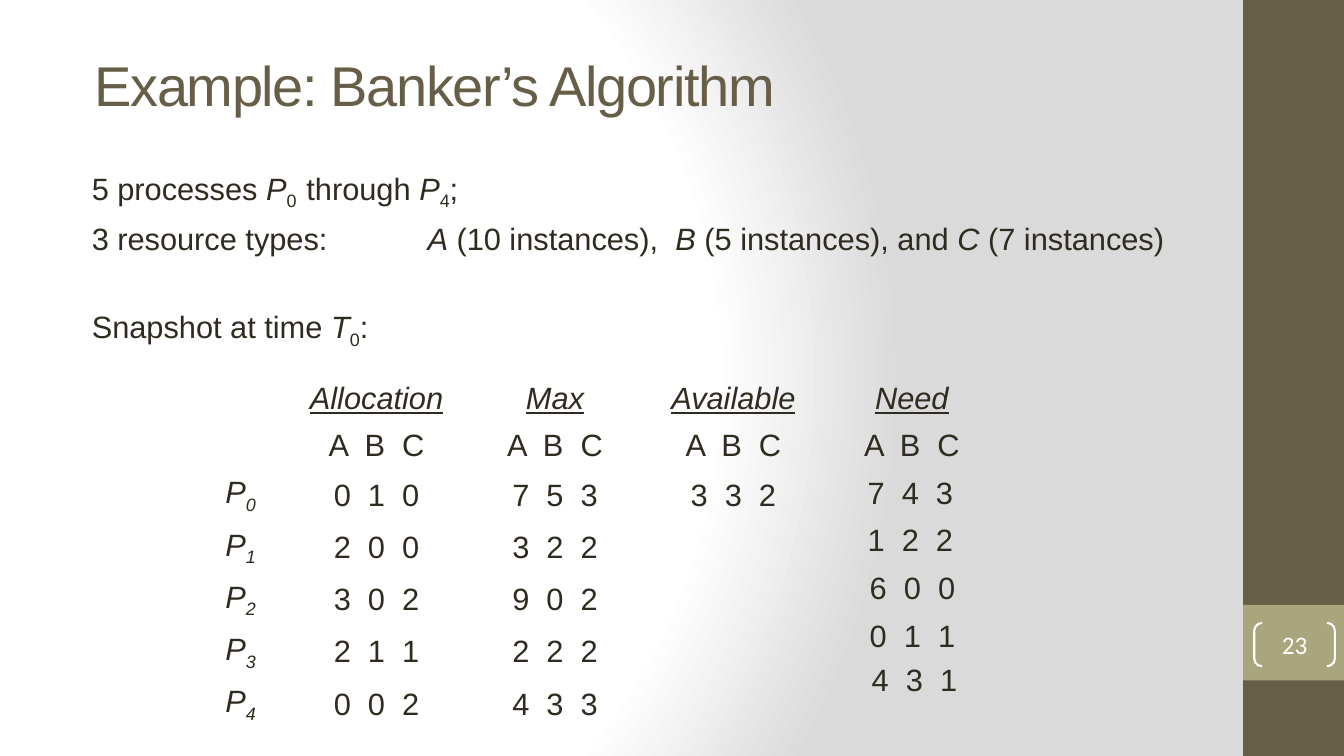
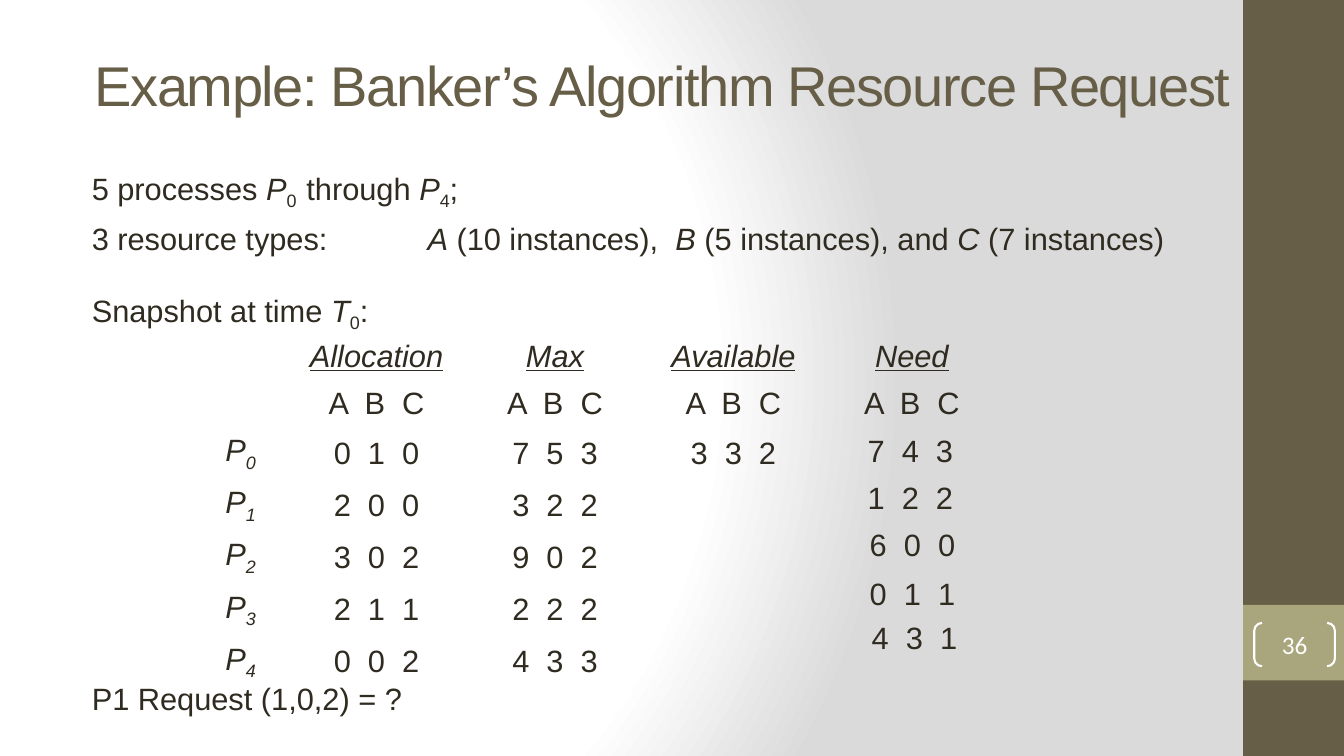
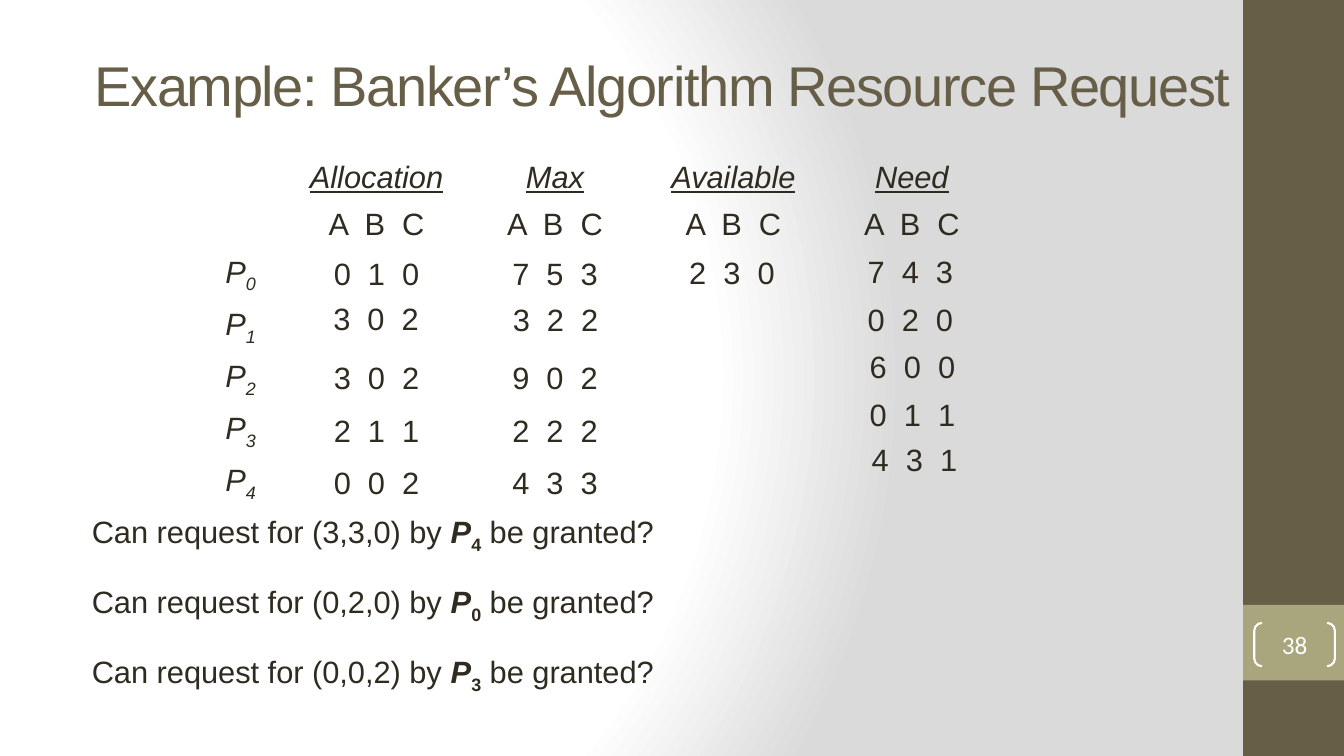
"""Build three slides on the Banker's Algorithm."""
from lxml import etree
from pptx import Presentation
from pptx.dml.color import RGBColor
from pptx.enum.shapes import MSO_SHAPE as Preset
from pptx.enum.text import MSO_ANCHOR as Anchor, PP_ALIGN as Align
from pptx.oxml import parse_xml
from pptx.oxml.ns import nsdecls, qn
from pptx.util import Inches, Pt

COLORS = {
    "paper": "FFFFFF",
    "shade": "DADADA",
    "band": "675E47",
    "badge": "A9A57C",
    "text": "2F2B20",
}
NO_GRID_STYLE = "{2D5ABB26-0587-4C30-8999-92F81FD0307C}"
ITALIC = {"italic": True}
SUB = {"sub": True}


def color(name):
    return RGBColor.from_string(COLORS[name])


def write(paragraph, text, size=22, font="Arial", ink="text", italic=None,
          bold=None, underline=None, sub=False, tracking=None):
    run = paragraph.add_run()
    run.text = text
    run.font.size = Pt(size)
    run.font.name = font
    run.font.color.rgb = color(ink)
    run.font.italic = italic
    run.font.bold = bold
    run.font.underline = underline
    properties = run.font._element
    if sub:
        properties.set("baseline", "-25000")
    if tracking is not None:
        properties.set("spc", str(tracking * 100))


class Deck:
    BAND_LEFT = 12.33
    TABLE_LEFT = 1.92
    COLUMNS = (0.93, 1.77, 1.77, 1.77, 1.77)
    HEADER_HEIGHT, ROW_HEIGHT = 0.47, 0.49

    def __init__(self):
        self.presentation = Presentation()
        self.presentation.slide_width = Inches(13.33)
        self.presentation.slide_height = Inches(7.5)
        self.slide = None
        self.set_background()

    def set_background(self):
        master = self.presentation.slide_master
        master.background.fill.solid()
        solid = master.element.find(".//" + qn("p:bgPr")).find(qn("a:solidFill"))
        stops = ((0, "paper"), (75, "paper"), (100, "shade"))
        stop_xml = "".join(
            f'<a:gs pos="{position * 1000}"><a:srgbClr val="{COLORS[name]}"/></a:gs>'
            for position, name in stops)
        gradient = parse_xml(
            f'<a:gradFill {nsdecls("a")} rotWithShape="1"><a:gsLst>{stop_xml}</a:gsLst>'
            '<a:path path="circle"><a:fillToRect l="20000" t="50000" r="100000" b="50000"/>'
            '</a:path></a:gradFill>')
        solid.getparent().replace(solid, gradient)

    def start(self, title, number):
        self.slide = self.presentation.slides.add_slide(
            self.presentation.slide_layouts[6])
        self.band(0, 7.5, "band")
        self.band(6, 0.75, "badge")
        frame = self.box(0.84, 0.61, 11.5, 0.45)
        frame.vertical_anchor = Anchor.MIDDLE
        write(frame.paragraphs[0], title, size=40, ink="band", tracking=-1)
        self.page_number(number)

    def band(self, top, height, fill):
        shape = self.slide.shapes.add_shape(
            Preset.RECTANGLE, Inches(self.BAND_LEFT), Inches(top),
            Inches(1), Inches(height))
        shape.shadow.inherit = False
        shape.fill.solid()
        shape.fill.fore_color.rgb = color(fill)
        shape.line.fill.background()

    def page_number(self, number):
        shape = self.slide.shapes.add_shape(
            Preset.DOUBLE_BRACKET, Inches(12.44), Inches(6.18),
            Inches(0.8), Inches(0.43))
        shape.shadow.inherit = False
        shape.adjustments[0] = 0.18
        shape.fill.background()
        shape.line.color.rgb = color("paper")
        shape.line.width = Pt(1.5)
        frame = shape.text_frame
        frame.margin_left = frame.margin_right = 0
        frame.margin_top = frame.margin_bottom = 0
        frame.vertical_anchor = Anchor.MIDDLE
        paragraph = frame.paragraphs[0]
        paragraph.alignment = Align.CENTER
        write(paragraph, str(number), size=18, font="Calibri", ink="paper")

    def box(self, left, top, width, height):
        shape = self.slide.shapes.add_textbox(
            Inches(left), Inches(top), Inches(width), Inches(height))
        shape.text_frame.word_wrap = True
        return shape.text_frame

    def body(self, top, height, lines, gaps):
        frame = self.box(0.69, top, 11.41, height)
        frame.margin_left = Inches(0.22)
        for index, (runs, gap) in enumerate(zip(lines, gaps)):
            paragraph = frame.add_paragraph() if index else frame.paragraphs[0]
            paragraph.line_spacing = 1.1
            paragraph.space_before = Pt(gap)
            properties = paragraph._p.get_or_add_pPr()
            if any("\t" in text for text, _ in runs):
                tabs = etree.SubElement(properties, qn("a:tabLst"))
                etree.SubElement(tabs, qn("a:tab"), pos=str(Inches(3.33)), algn="l")
            for text, style in runs:
                write(paragraph, text, **style)

    def cell(self, cell, runs):
        cell.fill.background()
        cell.vertical_anchor = Anchor.MIDDLE
        paragraph = cell.text_frame.paragraphs[0]
        paragraph.alignment = Align.CENTER
        for text, style in runs:
            write(paragraph, text, **style)

    def table(self, top, rows):
        heading = {"italic": True, "underline": True}
        names = ("Allocation", "Max", "Available", "Need")
        grid = [[[]] + [[(name, heading)] for name in names],
                [[]] + [[("A  B  C", {})] for _ in names]]
        for process, values in enumerate(rows):
            label = [("P", ITALIC), (str(process), {"italic": True, "sub": True})]
            cells = [[(value, {})] if value else [] for value in values]
            grid.append([label] + cells + [[]] * (len(names) - len(cells)))
        heights = [self.HEADER_HEIGHT] * 2 + [self.ROW_HEIGHT] * len(rows)
        frame = self.slide.shapes.add_table(
            len(grid), len(self.COLUMNS), Inches(self.TABLE_LEFT), Inches(top),
            Inches(sum(self.COLUMNS)), Inches(sum(heights)))
        table = frame.table
        table.first_row = table.horz_banding = False
        table._tbl.tblPr.find(qn("a:tableStyleId")).text = NO_GRID_STYLE
        for column, width in zip(table.columns, self.COLUMNS):
            column.width = Inches(width)
        for row, height, contents in zip(table.rows, heights, grid):
            row.height = Inches(height)
            for cell, runs in zip(row.cells, contents):
                self.cell(cell, runs)

    def value(self, left, top, text):
        paragraph = self.box(left, top, 1.5, 0.47).paragraphs[0]
        paragraph.alignment = Align.CENTER
        write(paragraph, text)

    def need(self, table_top, values):
        lefts = (8.28, 8.28, 8.3, 8.3, 8.32)
        offsets = (0.93, 1.4, 1.87, 2.35, 2.79)
        for left, offset, text in zip(lefts, offsets, values):
            self.value(left, table_top + offset, text)


INTRO = (
    [("5 processes ", {}), ("P", ITALIC), ("0  ", SUB), ("through ", {}),
     ("P", ITALIC), ("4", SUB), (";", {})],
    [("3 resource types:\t", {}), ("A", ITALIC), (" (10 instances),  ", {}),
     ("B", ITALIC), (" (5 instances), and ", {}), ("C", ITALIC),
     (" (7 instances)", {})],
    [("Snapshot at time ", {}), ("T", ITALIC), ("0", SUB), (":", {})],
)
START_ROWS = (
    ("0  1  0", "7  5  3", "3  3  2"),
    ("2  0  0", "3  2  2"),
    ("3  0  2", "9  0  2"),
    ("2  1  1", "2  2  2"),
    ("0  0  2", "4  3  3"),
)
START_NEED = ("7  4  3", "1  2  2", "6  0  0", "0  1  1", "4  3  1")
REQUEST_TITLE = "Example: Banker’s Algorithm Resource Request"


def question(request, process):
    return [(f"Can request for {request} by ", {}),
            ("P", {"bold": True, "italic": True}),
            (process, {"bold": True, "sub": True}),
            (" be granted?", {})]


def main():
    deck = Deck()

    deck.start("Example: Banker’s Algorithm", 23)
    deck.body(1.59, 5.91, INTRO, (0, 3, 34))
    deck.table(3.72, START_ROWS)
    deck.need(3.72, START_NEED)

    deck.start(REQUEST_TITLE, 36)
    deck.body(1.59, 1.7, INTRO, (0, 3, 22))
    deck.table(3.3, START_ROWS)
    deck.need(3.3, START_NEED)
    deck.body(6.66, 0.6, [[("P1 Request (1,0,2) = ?", {})]], (0,))

    deck.start(REQUEST_TITLE, 38)
    top = 1.53
    deck.table(top, (("0  1  0", "7  5  3"), ()) + START_ROWS[2:])
    deck.need(top, ("7  4  3", "0  2  0") + START_NEED[2:])
    deck.value(6.51, top + 0.94, "2  3  0")
    deck.value(2.98, top + 1.39, "3  0  2")
    deck.value(4.76, top + 1.4, "3  2  2")
    requests = (("(3,3,0)", "4"), ("(0,2,0)", "0"), ("(0,0,2)", "3"))
    deck.body(5, 2.5, [question(*request) for request in requests], (0, 17, 17))

    deck.presentation.save("out.pptx")


if __name__ == "__main__":
    main()
